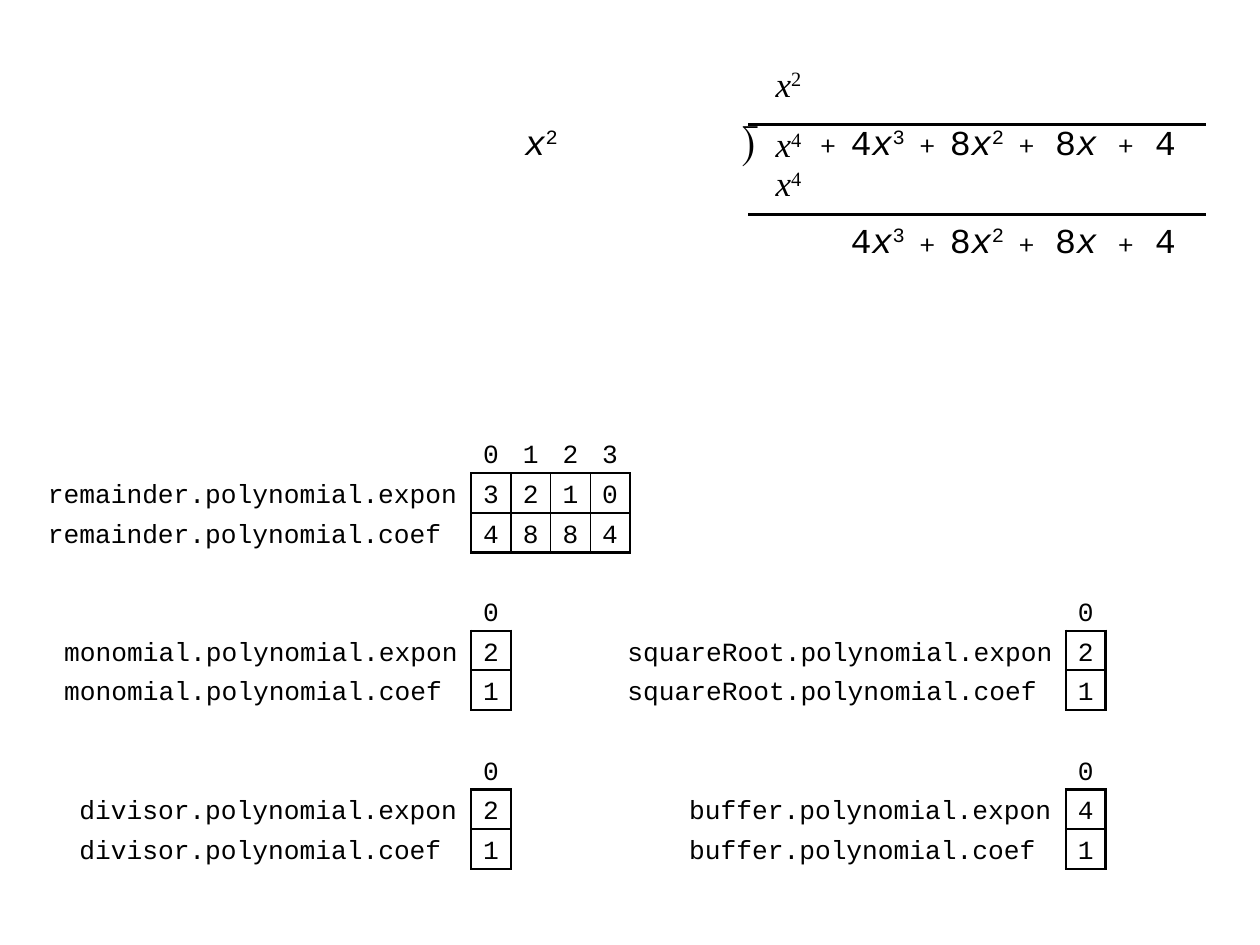
import pptx
import pptx.dml.color
import pptx.enum.shapes
import pptx.enum.text
import pptx.util
from lxml import etree
from pptx.oxml.ns import qn
from pptx.util import Inches

BLACK = pptx.dml.color.RGBColor(0x00, 0x00, 0x00)
NO_GRID_STYLE = "{2D5ABB26-0587-4C30-8999-92F81FD0307C}"
CELL = Inches(0.63) // 2
WIDE = CELL * 3 // 2
POLYNOMIAL_COLUMNS = [CELL, CELL, WIDE, CELL, WIDE, CELL, WIDE, CELL, CELL]
DIVISOR_COLUMNS = [WIDE, CELL, WIDE, CELL, CELL]
THICK, THIN = 1.5, 1

CODE = {"name": "Courier New", "size": pptx.util.Pt(15), "bold": False}
LEADING = {"name": "Times New Roman", "size": pptx.util.Pt(20), "bold": False}
TERM = {"name": "Courier New", "size": pptx.util.Pt(20), "bold": False}
PLUS = {"name": "Cambria", "size": pptx.util.Pt(18), "bold": False}
BRACKET = {"name": "Cambria", "size": pptx.util.Pt(24), "bold": False}

# Terms are written as in "4x^3"; each row lists its cells from the left.
TAIL = ["4x^3", "+", "8x^2", "+", "8x", "+", "4"]
POLYNOMIALS = [
    (6.1, 1.23, POLYNOMIAL_COLUMNS, LEADING, ["x^4"]),
    (4.06, 0.92, DIVISOR_COLUMNS, TERM, ["x^2"]),
    (4.06, 1.7, DIVISOR_COLUMNS, TERM, []),
    (6.1, 0.44, POLYNOMIAL_COLUMNS, LEADING, ["x^2"]),
    (6.1, 1.7, POLYNOMIAL_COLUMNS, LEADING, ["", ""] + TAIL),
    (6.1, 0.92, POLYNOMIAL_COLUMNS, LEADING, ["x^4", "+"] + TAIL),
]

# Variable, left edge of its array, top, label width, label inset, exponents, coefficients
ARRAYS = [
    ("remainder", 3.74, 3.44, 3.46, 0.1, "3210", "4884"),
    ("divisor", 3.74, 5.95, 3.15, 0.04, "2", "1"),
    ("monomial", 3.74, 4.69, 3.31, 0.08, "2", "1"),
    ("buffer", 8.46, 5.95, 3.15, 0.16, "4", "1"),
    ("squareRoot", 8.46, 4.69, 3.62, 0.14, "2", "1"),
]


class DivisionSlide:
    def __init__(self, slide):
        self.slide = slide
        self.color = BLACK

    def run(self, paragraph, text, style, italic=False, raised=False):
        if not text:
            return
        run = paragraph.add_run()
        run.text = text
        for attribute, value in style.items():
            setattr(run.font, attribute, value)
        run.font.italic = italic
        run.font.color.rgb = self.color
        if raised:
            run._r.get_or_add_rPr().set("baseline", "30000")

    def term(self, paragraph, text, style):
        """Write a term with its variable in italics and its power raised."""
        base, _, power = text.partition("^")
        coefficient, variable, _ = base.partition("x")
        self.run(paragraph, coefficient, style)
        self.run(paragraph, variable, style, italic=True)
        self.run(paragraph, power, style, raised=True)

    def grid(self, left, top, columns, rows):
        """Add a table without style, its cells free of margins and centred."""
        frame = self.slide.shapes.add_table(
            len(rows), len(columns), left, top, sum(columns), sum(rows))
        table = frame.table
        table.first_row = table.horz_banding = False
        table._tbl.tblPr.find(qn("a:tableStyleId")).text = NO_GRID_STYLE
        for column, width in zip(table.columns, columns):
            column.width = width
        for row, height in zip(table.rows, rows):
            row.height = height
        for cell in table.iter_cells():
            for side in ("left", "right", "top", "bottom"):
                setattr(cell, f"margin_{side}", 0)
            cell.vertical_anchor = pptx.enum.text.MSO_ANCHOR.MIDDLE
            cell.fill.background()
            cell.text_frame.paragraphs[0].alignment = pptx.enum.text.PP_ALIGN.CENTER
        return table

    def borders(self, cell, widths):
        """Draw borders from a dict of side letter to points, ordered L, R, T, B."""
        properties = cell._tc.get_or_add_tcPr()
        for position, (side, width) in enumerate(widths.items()):
            line = etree.Element(qn(f"a:ln{side}"), w=str(pptx.util.Pt(width)))
            fill = etree.SubElement(line, qn("a:solidFill"))
            etree.SubElement(fill, qn("a:srgbClr"), val=str(self.color))
            properties.insert(position, line)

    def polynomial(self, left, top, columns, first_style, terms):
        table = self.grid(Inches(left), Inches(top), columns, [WIDE])
        for index, text in enumerate(terms):
            style = PLUS if text == "+" else TERM if index else first_style
            self.term(table.cell(0, index).text_frame.paragraphs[0], text, style)

    def array(self, variable, left, top, label_width, inset, exponents, coefficients):
        """Show a variable's exponents and coefficients under their indices."""
        columns = [Inches(label_width)] + [CELL] * len(exponents)
        table = self.grid(Inches(left - label_width), Inches(top), columns, [CELL] * 3)
        contents = [
            ["", *map(str, range(len(exponents)))],
            [f"{variable}.polynomial.expon", *exponents],
            [f"{variable}.polynomial.coef", *coefficients],
        ]
        for row, texts in enumerate(contents):
            for column, text in enumerate(texts):
                cell = table.cell(row, column)
                paragraph = cell.text_frame.paragraphs[0]
                paragraph.line_spacing = 1.25
                if column == 0:
                    paragraph.alignment = pptx.enum.text.PP_ALIGN.LEFT
                    cell.margin_left, cell.margin_right = Inches(inset), Inches(0.1)
                self.run(paragraph, text, CODE)
                widths = {}
                for side, edge in (("L", column), ("R", column + 1)):
                    if row and edge:
                        widths[side] = THICK if edge in (1, len(columns)) else THIN
                for side, edge in (("T", row), ("B", row + 1)):
                    if column and edge:
                        widths[side] = THICK
                self.borders(cell, widths)

    def rule(self, left, right, height):
        line = self.slide.shapes.add_connector(
            pptx.enum.shapes.MSO_CONNECTOR.STRAIGHT,
            Inches(left), Inches(height), Inches(right), Inches(height))
        line.line.color.rgb = self.color
        line.line.width = pptx.util.Pt(THICK)
        etree.SubElement(line._element.spPr, qn("a:effectLst"))

    def symbol(self, text, left, top, style):
        box = self.slide.shapes.add_textbox(Inches(left), Inches(top), CELL, WIDE)
        frame = box.text_frame
        frame.word_wrap = False
        frame.margin_left = frame.margin_right = frame.margin_bottom = 0
        frame.margin_top = Inches(0.05)
        paragraph = frame.paragraphs[0]
        paragraph.alignment = pptx.enum.text.PP_ALIGN.CENTER
        self.run(paragraph, text, style)


def main():
    presentation = pptx.Presentation()
    presentation.slide_width, presentation.slide_height = Inches(10), Inches(7.5)
    division = DivisionSlide(presentation.slides.add_slide(presentation.slide_layouts[6]))
    for array in ARRAYS:
        division.array(*array)
    for polynomial in POLYNOMIALS:
        division.polynomial(*polynomial)
    for height in (0.99, 1.7):
        division.rule(5.94, 9.57, height)
    division.symbol("⟌", 5.79, 0.92, BRACKET)
    presentation.save("out.pptx")


if __name__ == "__main__":
    main()
